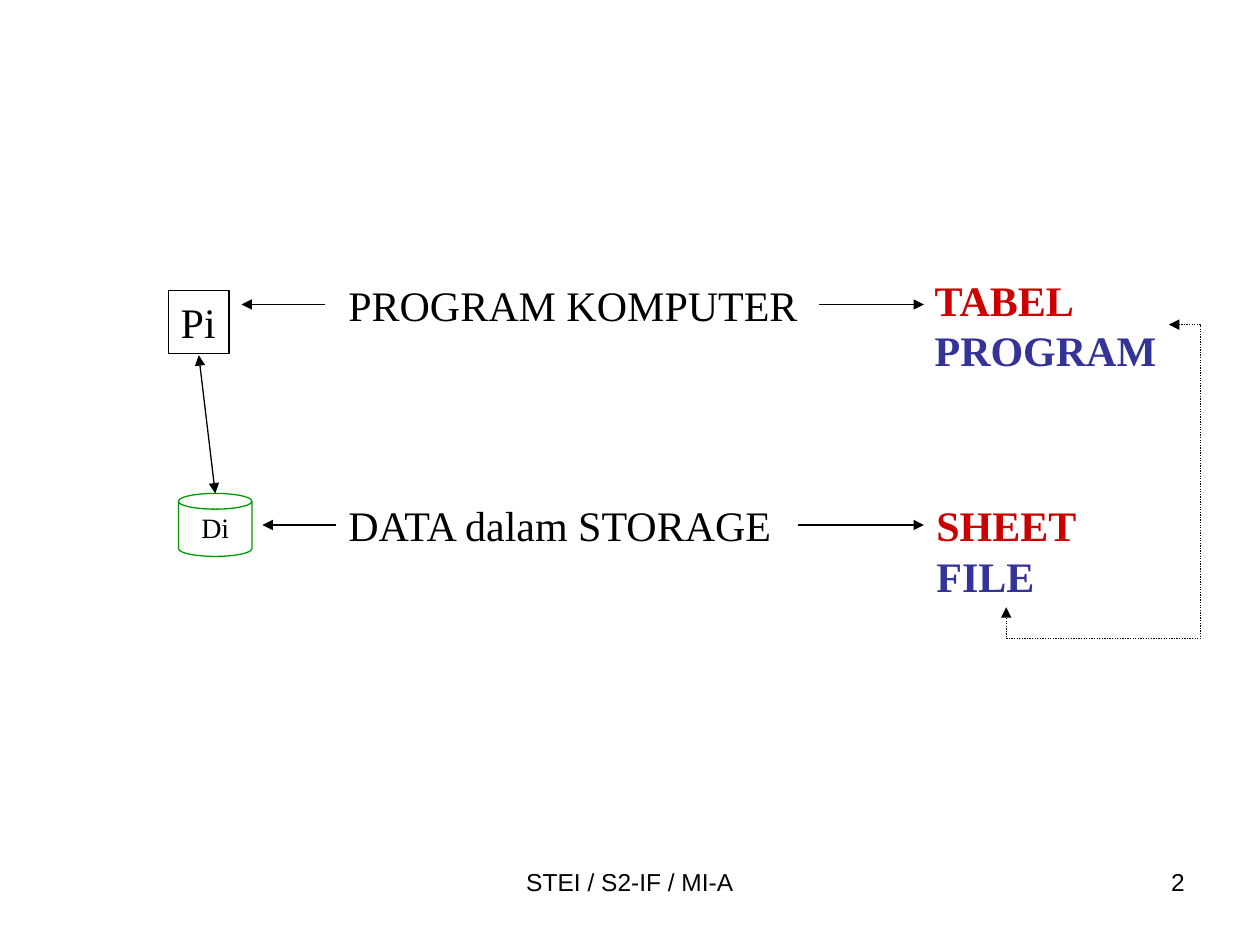
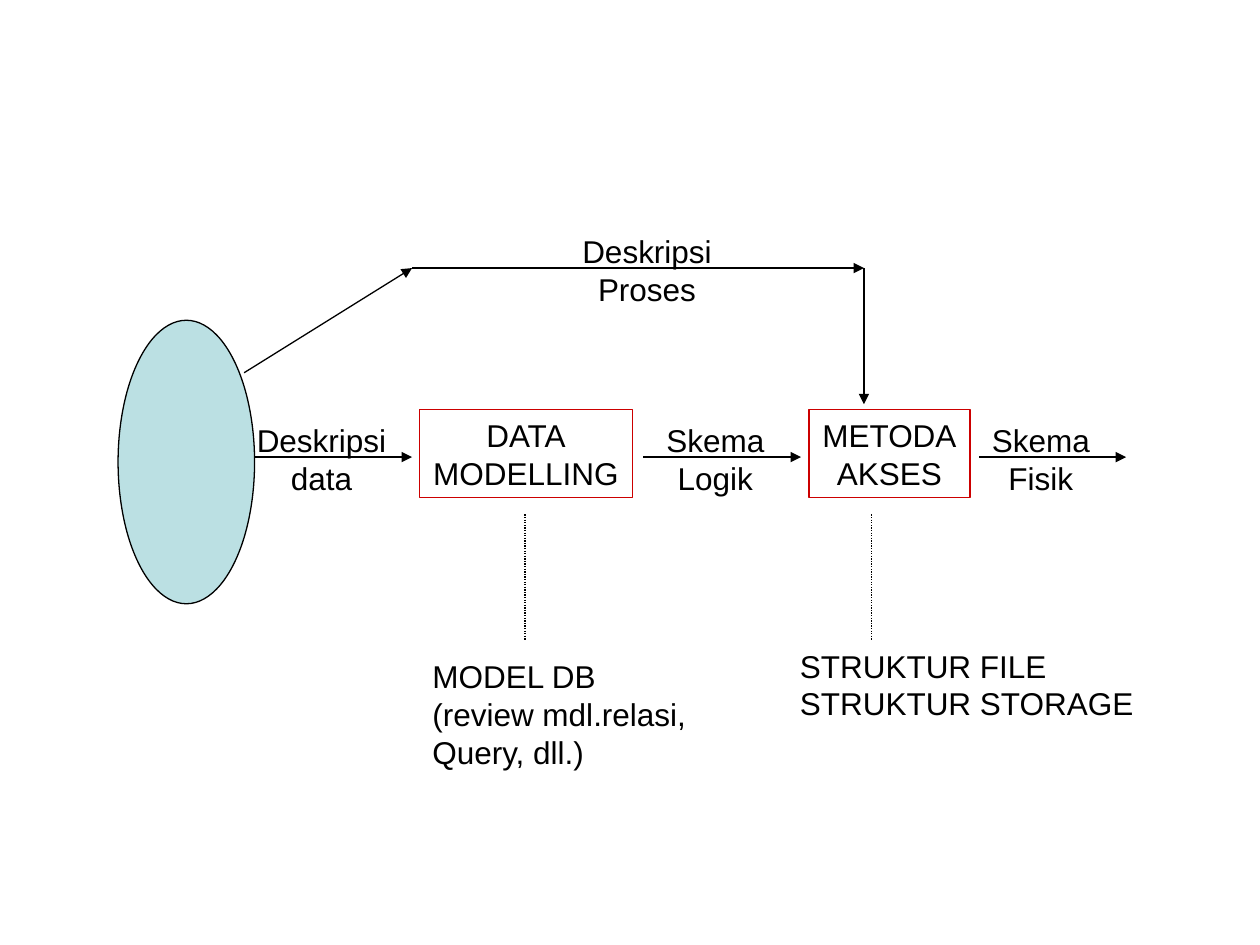
"""Build two slides on programs, stored data and the path from data modelling to access methods."""
from dataclasses import dataclass

from pptx import Presentation
from pptx.dml.color import RGBColor
from pptx.enum.dml import MSO_LINE
from pptx.enum.shapes import MSO_CONNECTOR, MSO_SHAPE
from pptx.enum.text import MSO_AUTO_SIZE, PP_ALIGN
from pptx.oxml.ns import qn
from pptx.util import Pt
from lxml import etree

LEFT, CENTER, RIGHT = PP_ALIGN.LEFT, PP_ALIGN.CENTER, PP_ALIGN.RIGHT
STRAIGHT, ELBOW = MSO_CONNECTOR.STRAIGHT, MSO_CONNECTOR.ELBOW
RECTANGLE, CAN, OVAL = MSO_SHAPE.RECTANGLE, MSO_SHAPE.CAN, MSO_SHAPE.OVAL
DOTTED = MSO_LINE.ROUND_DOT
FIT_SHAPE = MSO_AUTO_SIZE.SHAPE_TO_FIT_TEXT


@dataclass(frozen=True)
class Theme:
    black: RGBColor = RGBColor.from_string("000000")
    red: RGBColor = RGBColor.from_string("CC0000")
    indigo: RGBColor = RGBColor.from_string("333399")
    green: RGBColor = RGBColor.from_string("009900")
    pale_blue: RGBColor = RGBColor.from_string("BBE0E3")
    sans: str = "Arial"
    serif: str = "Times New Roman"
    footer_size: int = 14
    storage_size: int = 16
    flow_size: int = 18
    concept_size: int = 24
    line_width: float = 0.75


theme = Theme()


def add_label(slide, box, text, font, size, align=LEFT, colors=(theme.black,), outline=None, wrap=False):
    """Add text, one paragraph a line, in a plain or outlined box."""
    box = [Pt(length) for length in box]
    if outline is None:
        shape = slide.shapes.add_textbox(*box)
    else:
        shape = slide.shapes.add_shape(RECTANGLE, *box)
        shape.shadow.inherit = False
        shape.fill.background()
        shape.line.color.rgb = outline
        shape.line.width = Pt(theme.line_width)
    frame = shape.text_frame
    frame.text = text
    frame.word_wrap = wrap
    if not wrap:
        frame.auto_size = FIT_SHAPE
    for index, paragraph in enumerate(frame.paragraphs):
        paragraph.alignment = align
        run_font = paragraph.runs[0].font
        run_font.name = font
        run_font.size = Pt(size)
        run_font.bold = len(colors) > 1
        run_font.color.rgb = colors[index % len(colors)]


def add_line(slide, start, end, arrowheads=("tailEnd",), dotted=False, kind=STRAIGHT):
    """Add a connector with triangle arrowheads at the named ends."""
    connector = slide.shapes.add_connector(kind, *[Pt(length) for length in (*start, *end)])
    connector.line.color.rgb = theme.black
    connector.line.width = Pt(theme.line_width)
    if dotted:
        connector.line.dash_style = DOTTED
    properties = connector._element.spPr
    for arrowhead in arrowheads:
        etree.SubElement(properties.find(qn("a:ln")), qn(f"a:{arrowhead}"), type="triangle")
    etree.SubElement(properties, qn("a:effectLst"))
    return connector


presentation = Presentation()
presentation.slide_width = Pt(720)
presentation.slide_height = Pt(540)
blank_layout = presentation.slide_layouts[6]
both_ends = ("headEnd", "tailEnd")

slide = presentation.slides.add_slide(blank_layout)
for left, width, text, align in ((246, 228, "STEI / S2-IF / MI-A", CENTER), (516, 168, "2", RIGHT)):
    add_label(slide, (left, 492, width, 37.5), text, theme.sans, theme.footer_size, align, wrap=True)

add_label(slide, (96.2, 166, 34.7, 36), "Pi", theme.serif, theme.concept_size, outline=theme.black)
storage = slide.shapes.add_shape(CAN, Pt(102), Pt(282), Pt(42), Pt(36))
storage.shadow.inherit = False
storage.fill.background()
storage.line.color.rgb = theme.green
storage.line.width = Pt(theme.line_width)
add_label(slide, (108, 288, 33, 26.5), "Di", theme.serif, theme.storage_size)
add_line(slide, (113.6, 203), (123, 282), both_ends)

for box, text in (((192, 156, 272, 36), "PROGRAM KOMPUTER"), ((192, 282, 263, 36), "DATA dalam STORAGE")):
    add_label(slide, box, text, theme.serif, theme.concept_size)
for box, text in (((527, 153.2, 142, 65), "TABEL\nPROGRAM"), ((528, 282, 98, 65), "SHEET\nFILE")):
    add_label(slide, box, text, theme.serif, theme.concept_size, colors=(theme.red, theme.indigo))
for start, end, y in ((186, 138, 174), (192, 150, 300), (468, 528, 174), (456, 528, 300)):
    add_line(slide, (start, y), (end, y))

program_end, file_end, overhang = (668, 185.5), (575, 347), 18
program_file_link = add_line(slide, program_end, file_end, both_ends, dotted=True, kind=ELBOW)
geometry = program_file_link._element.spPr.find(qn("a:prstGeom"))
geometry.set("prst", "bentConnector4")
adjustments = geometry.find(qn("a:avLst"))
bends = (-overhang / (program_end[0] - file_end[0]), 1 + overhang / (file_end[1] - program_end[1]))
for number, bend in enumerate(bends, start=1):
    etree.SubElement(adjustments, qn("a:gd"), name=f"adj{number}", fmla=f"val {round(bend * 100000)}")

slide = presentation.slides.add_slide(blank_layout)
for left, width, text in ((239.8, 121.5, "DATA\nMODELLING"), (462.3, 92, "METODA\nAKSES")):
    add_label(slide, (left, 234, width, 50.5), text, theme.sans, theme.flow_size, CENTER, outline=theme.red)

for left, top, width, text in (
    (139.5, 237, 88.5, "Deskripsi\ndata"),
    (373.5, 237, 70.5, "Skema\nLogik"),
    (559.5, 237, 70.5, "Skema\nFisik"),
    (325.5, 129, 88.5, "Deskripsi\nProses"),
):
    add_label(slide, (left, top, width, 50.5), text, theme.sans, theme.flow_size, CENTER)
for start, end in ((145.5, 235.5), (367.7, 457.7), (559.5, 643.5)):
    add_line(slide, (start, 261.2), (end, 261.2))

real_world = slide.shapes.add_shape(OVAL, Pt(67.5), Pt(183), Pt(78), Pt(162))
real_world.shadow.inherit = False
real_world.fill.solid()
real_world.fill.fore_color.rgb = theme.pale_blue
real_world.line.color.rgb = theme.black
real_world.line.width = Pt(theme.line_width)

process_route = ((139.5, 213), (235.5, 153.2), (493.7, 153.2), (493.7, 231))
for start, end in zip(process_route, process_route[1:]):
    add_line(slide, start, end)

for box, text in (
    ((240, 372, 164, 94), "MODEL DB\n(review mdl.relasi,\nQuery, dll.)"),
    ((450, 366, 206, 50.5), "STRUKTUR FILE\nSTRUKTUR STORAGE"),
):
    add_label(slide, box, text, theme.sans, theme.flow_size)
for x in (300, 498):
    add_line(slide, (x, 294), (x, 366), arrowheads=(), dotted=True)

presentation.save("out.pptx")
